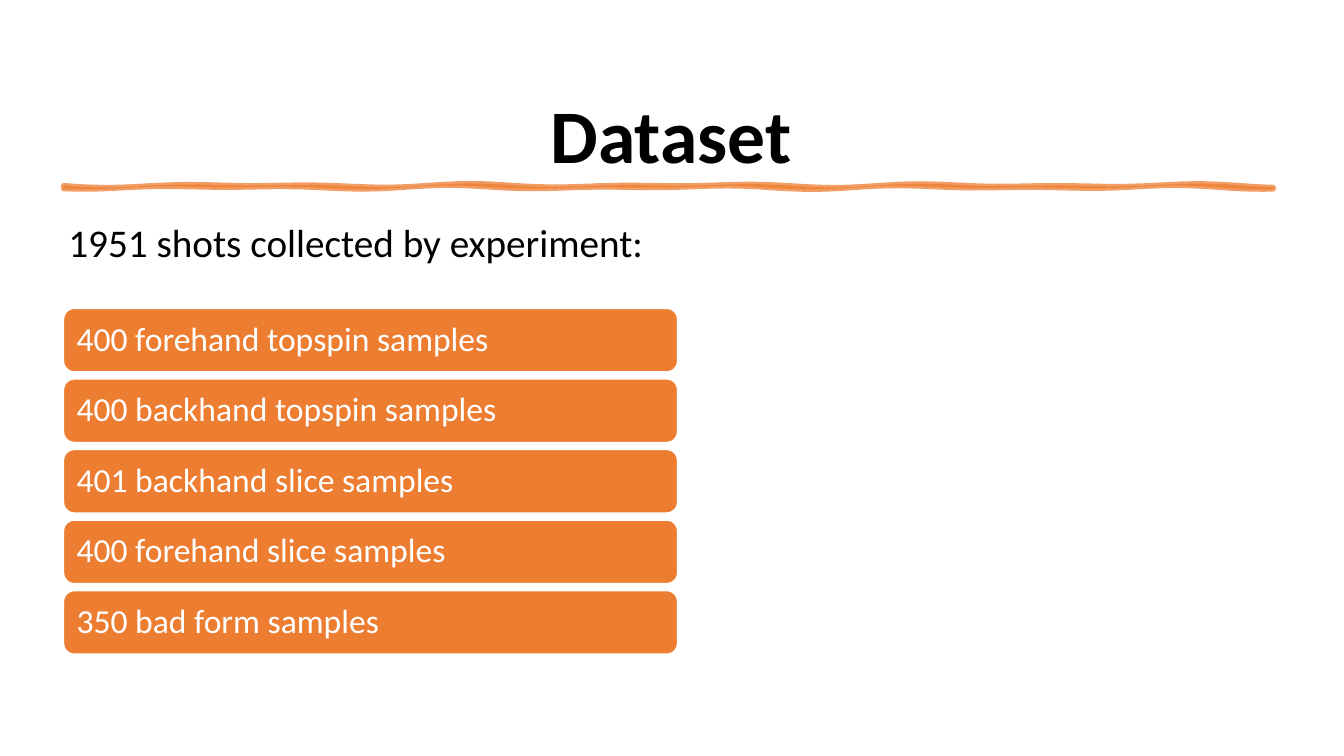
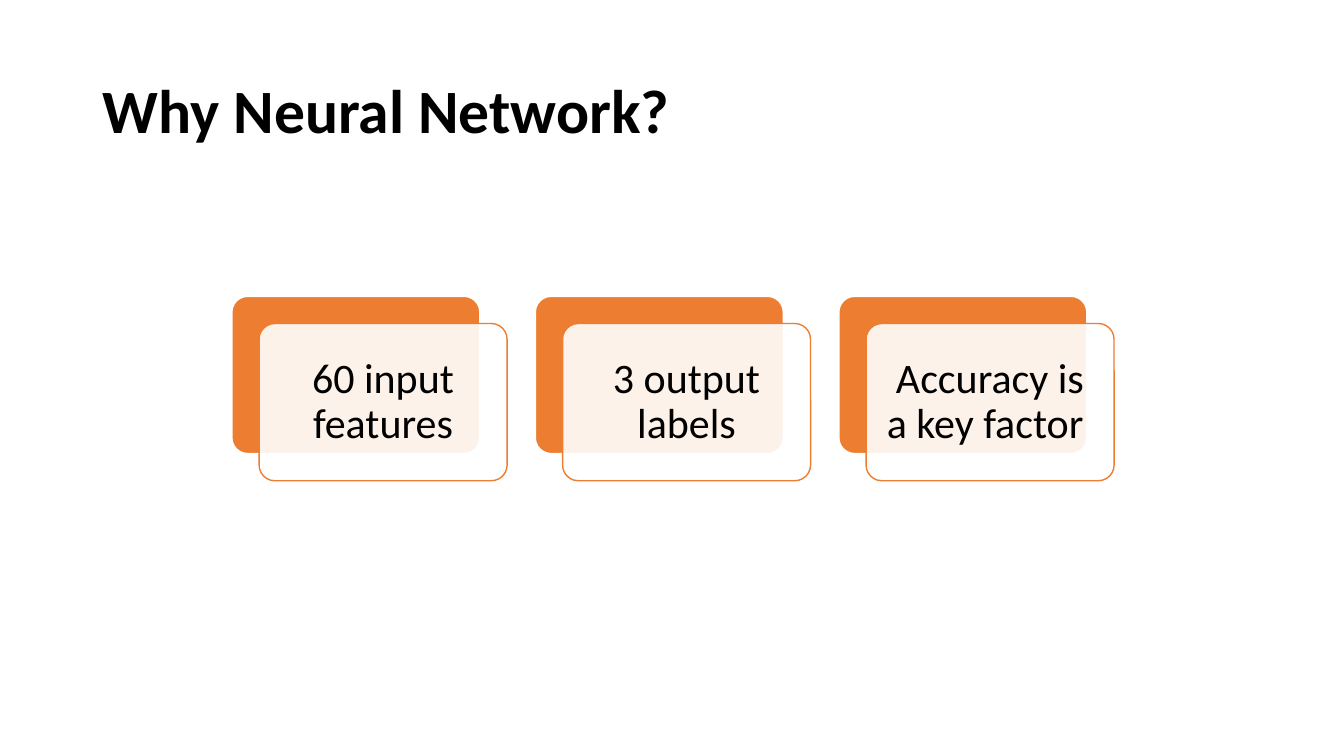
import math
from dataclasses import dataclass

import pptx
import pptx.dml.color
import pptx.enum.shapes
import pptx.enum.text
import pptx.oxml
import pptx.presentation
import pptx.shapes.autoshape
import pptx.shapes.base
import pptx.slide
import pptx.text.text
import pptx.util
from pptx.util import Inches

COLORS = {"accent": "ED7D31", "paper": "FFFFFF", "ink": "000000"}
FONT = "Calibri"
ALIGN = pptx.enum.text.PP_ALIGN
ANCHOR = pptx.enum.text.MSO_ANCHOR


@dataclass(frozen=True)
class Box:
    left: float
    top: float
    width: float
    height: float

    def shifted(self, right: float = 0, down: float = 0) -> "Box":
        return Box(self.left + right, self.top + down, self.width, self.height)

    def lengths(self) -> tuple[int, int, int, int]:
        return Inches(self.left), Inches(self.top), Inches(self.width), Inches(self.height)


SAMPLES = (
    "400 forehand topspin samples",
    "400 backhand topspin samples",
    "401 backhand slice samples",
    "400 forehand slice samples",
    "350 bad form samples",
)
REASONS = ("60 input features", "3 output labels", "Accuracy is a key factor ")

SAMPLE_BOX = Box(0.63, 3.06, 6.09, 0.63)
SAMPLE_GAP = 0.07
SAMPLE_STEP = SAMPLE_BOX.height + SAMPLE_GAP
CARD_BOX = Box(2.3, 2.94, 2.46, 1.56)
CARD_GAP = 0.55
CARD_STEP = CARD_BOX.width + CARD_GAP
CARD_OFFSET = 0.27


def color(name: str) -> pptx.dml.color.RGBColor:
    return pptx.dml.color.RGBColor.from_string(COLORS[name])


def write_text(
    frame: pptx.text.text.TextFrame,
    text: str,
    *,
    size: float,
    ink: str = "ink",
    bold: bool = False,
    align: ALIGN = ALIGN.LEFT,
    anchor: ANCHOR = ANCHOR.MIDDLE,
    line_spacing: float = 0.9,
    inset: float | None = None,
) -> None:
    frame.word_wrap = True
    frame.auto_size = pptx.enum.text.MSO_AUTO_SIZE.NONE
    frame.vertical_anchor = anchor
    if inset is not None:
        frame.margin_left = frame.margin_right = Inches(inset)
        frame.margin_top = frame.margin_bottom = Inches(inset)
    paragraph = frame.paragraphs[0]
    paragraph.alignment = align
    paragraph.line_spacing = line_spacing
    run = paragraph.add_run()
    run.text = text
    run.font.name = FONT
    run.font.size = pptx.util.Pt(size)
    run.font.bold = bold
    run.font.color.rgb = color(ink)


def set_opacity(shape: pptx.shapes.base.BaseShape, part: str, percent: int) -> None:
    for element in shape.element.xpath(f"p:spPr/{part}/a:srgbClr"):
        alpha = pptx.oxml.parse_xml(
            '<a:alpha xmlns:a="http://schemas.openxmlformats.org/drawingml/2006/main"/>'
        )
        alpha.set("val", str(percent * 1000))
        element.append(alpha)


def paint(
    shape: pptx.shapes.autoshape.Shape, *, fill: str, line: str, line_width: float = 1
) -> None:
    shape.shadow.inherit = False
    shape.fill.solid()
    shape.fill.fore_color.rgb = color(fill)
    shape.line.color.rgb = color(line)
    shape.line.width = pptx.util.Pt(line_width)


def add_rounded(
    slide: pptx.slide.Slide, box: Box, *, fill: str, line: str, corner: float
) -> pptx.shapes.autoshape.Shape:
    shape = slide.shapes.add_shape(
        pptx.enum.shapes.MSO_SHAPE.ROUNDED_RECTANGLE, *box.lengths()
    )
    shape.adjustments[0] = corner
    paint(shape, fill=fill, line=line)
    return shape


def add_titled_slide(
    presentation: pptx.presentation.Presentation,
    text: str,
    box: Box,
    *,
    size: float,
    align: ALIGN,
    anchor: ANCHOR,
) -> pptx.slide.Slide:
    slide = presentation.slides.add_slide(presentation.slide_layouts[5])
    title = slide.shapes.title
    title.left, title.top, title.width, title.height = box.lengths()
    write_text(title.text_frame, text, size=size, bold=True, align=align, anchor=anchor)
    return slide


def add_sketched_rule(slide: pptx.slide.Slide, left: float, top: float, width: float) -> None:
    steps = 120

    def edge(index: int, base: float, phase: float) -> tuple[int, int]:
        offset = width * index / steps
        wave = math.sin(2.7 * offset + phase) + math.sin(4.3 * offset + 2 * phase)
        return Inches(left + offset), Inches(base + 0.01 * wave)

    upper = [edge(index, top, 0) for index in range(steps + 1)]
    lower = [edge(index, top + 0.02, 0.5) for index in range(steps, -1, -1)]
    builder = slide.shapes.build_freeform(*upper[0], scale=1.0)
    builder.add_line_segments(upper[1:] + lower, close=True)
    rule = builder.convert_to_shape()
    paint(rule, fill="accent", line="accent", line_width=3.5)
    for part in ("a:solidFill", "a:ln/a:solidFill"):
        set_opacity(rule, part, 75)


def build_dataset(presentation: pptx.presentation.Presentation) -> None:
    slide = add_titled_slide(
        presentation,
        "Dataset",
        Box(0.63, 0.26, 12.05, 1.57),
        size=54,
        align=ALIGN.CENTER,
        anchor=ANCHOR.BOTTOM,
    )
    add_sketched_rule(slide, 0.63, 1.84, 12)
    for index, sample in enumerate(SAMPLES):
        box = SAMPLE_BOX.shifted(down=index * SAMPLE_STEP)
        bar = add_rounded(slide, box, fill="accent", line="paper", corner=0.17)
        write_text(bar.text_frame, sample, size=24, ink="paper", inset=0.1)
    intro = slide.shapes.add_textbox(*Box(0.58, 2.12, 6.7, 0.57).lengths())
    write_text(
        intro.text_frame,
        "1951 shots collected by experiment:",
        size=28,
        anchor=ANCHOR.TOP,
        line_spacing=1.0,
    )


def build_reasons(presentation: pptx.presentation.Presentation) -> None:
    slide = add_titled_slide(
        presentation,
        "Why Neural Network?",
        Box(0.92, 0.4, 11.5, 1.45),
        size=44,
        align=ALIGN.LEFT,
        anchor=ANCHOR.MIDDLE,
    )
    for index, reason in enumerate(REASONS):
        back = CARD_BOX.shifted(right=index * CARD_STEP)
        front = back.shifted(CARD_OFFSET, CARD_OFFSET)
        add_rounded(slide, back, fill="accent", line="paper", corner=0.1)
        card = add_rounded(slide, front, fill="paper", line="accent", corner=0.1)
        set_opacity(card, "a:solidFill", 90)
        write_text(card.text_frame, reason, size=30, align=ALIGN.CENTER, inset=0.12)


def main() -> None:
    presentation = pptx.Presentation()
    presentation.slide_width = Inches(13.33)
    presentation.slide_height = Inches(7.5)
    build_dataset(presentation)
    build_reasons(presentation)
    presentation.save("out.pptx")


if __name__ == "__main__":
    main()
